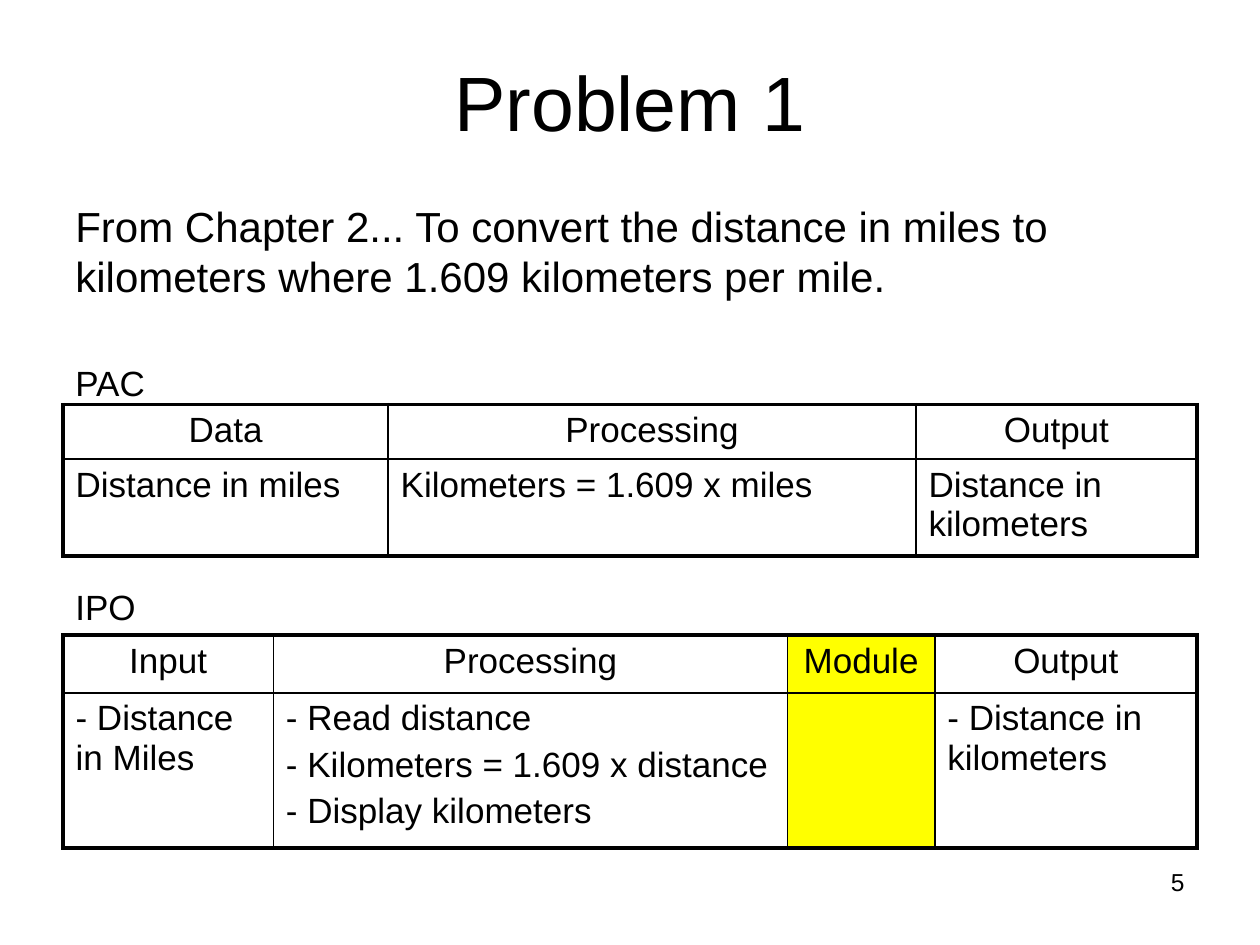
import pptx
import pptx.dml.color
import pptx.enum.text
import pptx.oxml
import pptx.oxml.ns
import pptx.util

WIDTH, HEIGHT = 10, 7.5
MARGIN = 0.05 * WIDTH
CONTENT_WIDTH = WIDTH - 2 * MARGIN
FONT = "Arial"
BLACK, YELLOW = "000000", "FFFF00"
OUTER_LINE, INNER_LINE = 2.25, 1
BODY_SIZE = 20

ALIGN = pptx.enum.text.PP_ALIGN
ANCHOR = pptx.enum.text.MSO_ANCHOR
inches = pptx.util.Inches


def color(hex_string):
    return pptx.dml.color.RGBColor.from_string(hex_string)


def write(frame, lines, size, align=ALIGN.LEFT):
    """Fill a text frame, one paragraph per line."""
    frame.word_wrap = True
    for index, line in enumerate(lines):
        paragraph = frame.add_paragraph() if index else frame.paragraphs[0]
        paragraph.alignment = align
        if index:
            paragraph.space_before = pptx.util.Pt(0.2 * size)
        run = paragraph.add_run()
        run.text = line
        run.font.name = FONT
        run.font.size = pptx.util.Pt(size)
        run.font.color.rgb = color(BLACK)


def add_text(slide, text, top, height, size, align=ALIGN.LEFT, anchor=ANCHOR.TOP):
    """Add a text box that spans the content width."""
    box = slide.shapes.add_textbox(
        inches(MARGIN), inches(top), inches(CONTENT_WIDTH), inches(height))
    box.text_frame.vertical_anchor = anchor
    write(box.text_frame, [text], size, align)


def set_borders(cell, widths):
    """Put left, right, top and bottom lines (in points) before the cell's fill."""
    properties = cell._tc.get_or_add_tcPr()
    for position, (side, width) in enumerate(zip("LRTB", widths)):
        line = pptx.oxml.parse_xml(
            f'<a:ln{side} {pptx.oxml.ns.nsdecls("a")} w="{pptx.util.Pt(width)}">'
            f'<a:solidFill><a:srgbClr val="{BLACK}"/></a:solidFill></a:ln{side}>')
        properties.insert(position, line)


def add_chart_table(slide, top, columns, row_heights, highlighted=None):
    """Add a header row and a detail row; columns hold (width, header, details)."""
    table = slide.shapes.add_table(
        2, len(columns), inches(MARGIN), inches(top),
        inches(CONTENT_WIDTH), inches(sum(row_heights))).table
    table.first_row = table.horz_banding = False
    for row, height in zip(table.rows, row_heights):
        row.height = inches(height)

    last = len(columns) - 1
    for index, (width, header, details) in enumerate(columns):
        table.columns[index].width = inches(width)
        for row, (lines, align) in enumerate(
                [([header], ALIGN.CENTER), (details, ALIGN.LEFT)]):
            cell = table.cell(row, index)
            write(cell.text_frame, lines, BODY_SIZE, align)
            if header == highlighted:
                cell.fill.solid()
                cell.fill.fore_color.rgb = color(YELLOW)
            else:
                cell.fill.background()
            on_edge = (index == 0, index == last, row == 0, row == 1)
            set_borders(cell, [OUTER_LINE if edge else INNER_LINE for edge in on_edge])


def main():
    deck = pptx.Presentation()
    deck.slide_width, deck.slide_height = inches(WIDTH), inches(HEIGHT)
    slide = deck.slides.add_slide(deck.slide_layouts[6])

    # Title and problem statement
    add_text(slide, "Problem 1", 0.3, 0.99, 44, ALIGN.CENTER, ANCHOR.MIDDLE)
    add_text(slide, "From Chapter 2... To convert the distance in miles to "
             "kilometers where 1.609 kilometers per mile.", 1.54, 0.9, 24)

    # Problem analysis chart
    add_text(slide, "PAC", 2.82, 0.4, BODY_SIZE)
    add_chart_table(slide, 3.21, [
        (2.58, "Data", ["Distance in miles"]),
        (4.19, "Processing", ["Kilometers = 1.609 x miles"]),
        (2.23, "Output", ["Distance in kilometers"]),
    ], (0.43, 0.77))

    # Input-processing-output chart
    add_text(slide, "IPO", 4.6, 0.4, BODY_SIZE)
    add_chart_table(slide, 5.04, [
        (1.67, "Input", ["- Distance in Miles"]),
        (4.08, "Processing", ["- Read distance",
                              "- Kilometers = 1.609 x distance",
                              "- Display kilometers"]),
        (1.17, "Module", []),
        (2.08, "Output", ["- Distance in kilometers"]),
    ], (0.46, 1.23), highlighted="Module")

    # Page number
    add_text(slide, "5", 6.83, 0.52, 14, ALIGN.RIGHT)

    deck.save("out.pptx")


if __name__ == "__main__":
    main()
